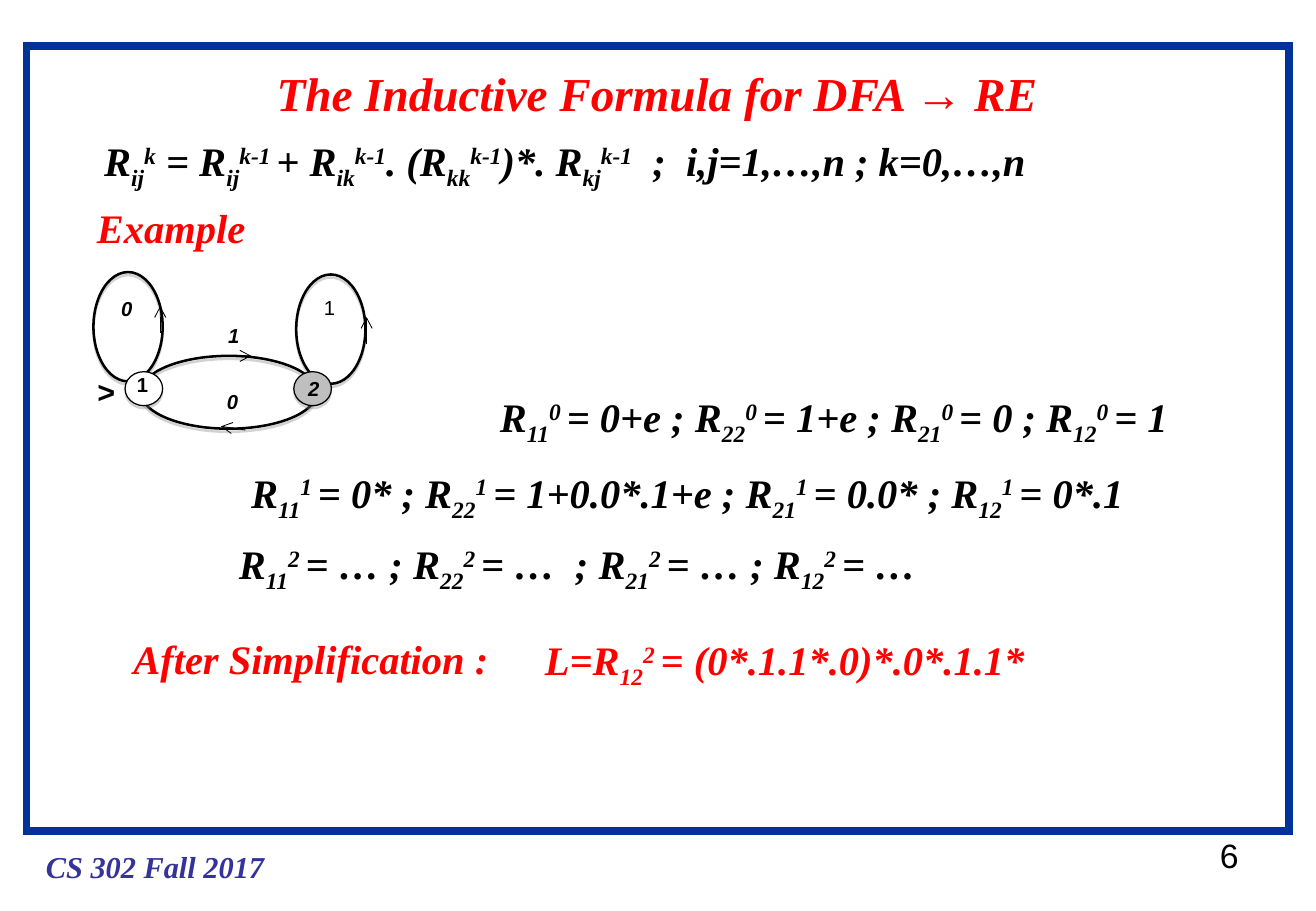
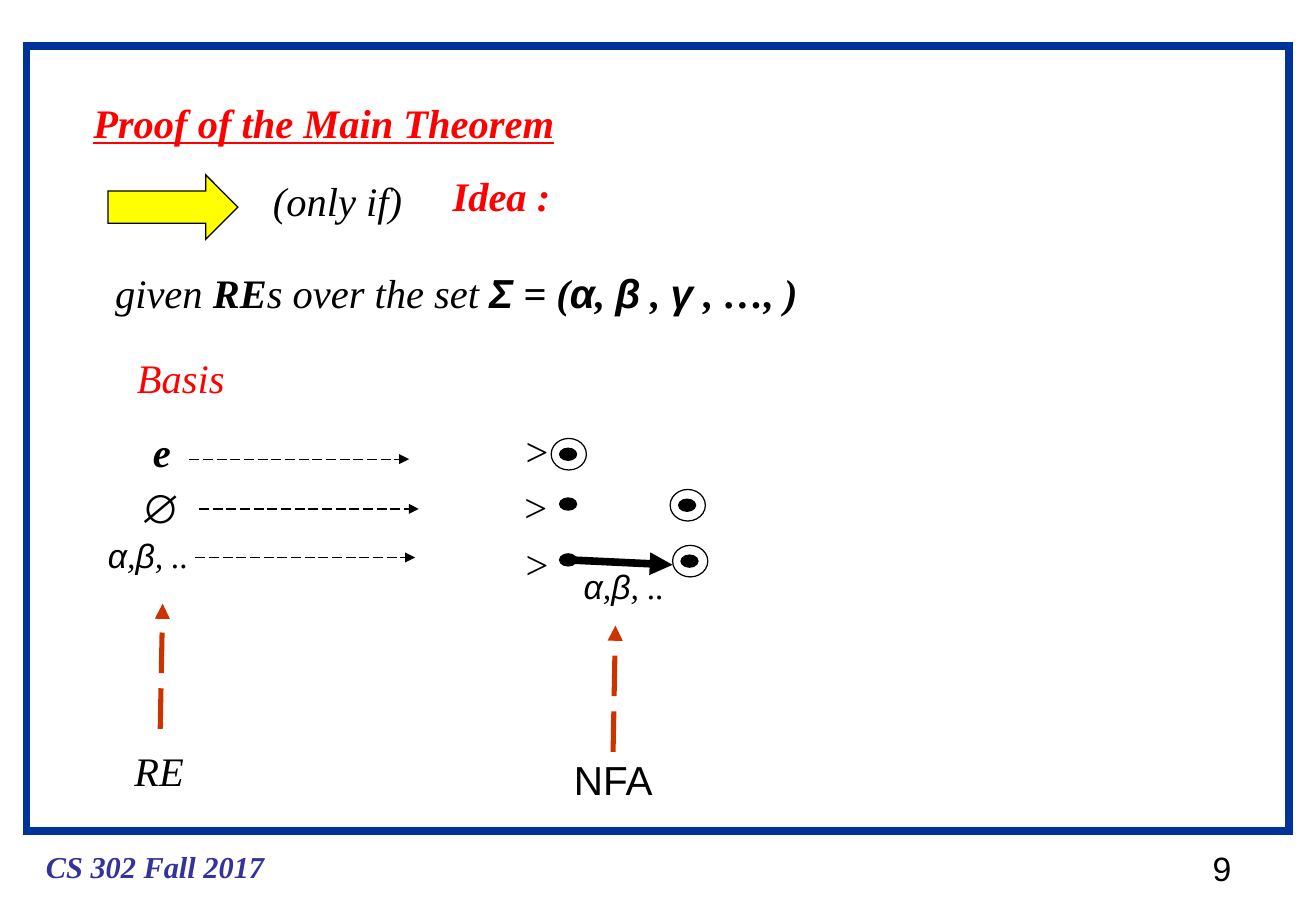
import dataclasses
import itertools

import pptx
import pptx.dml.color
import pptx.enum.dml
import pptx.enum.shapes
import pptx.enum.text
import pptx.oxml.ns
import pptx.util
from lxml import etree

Inches = pptx.util.Inches
Pt = pptx.util.Pt
Preset = pptx.enum.shapes.MSO_SHAPE
qn = pptx.oxml.ns.qn


@dataclasses.dataclass(frozen=True)
class Theme:
    frame: str = "003399"
    footer: str = "333399"
    accent: str = "FF0000"
    ink: str = "000000"
    paper: str = "FFFFFF"
    final_state: str = "BFBFBF"
    shadow: str = "808080"
    implication: str = "FFFF00"
    pointer: str = "CC3300"
    serif: str = "Times New Roman"
    sans: str = "Arial"
    title: int = 28
    body: int = 24
    small: int = 20
    footnote: int = 18
    label: int = 12


THEME = Theme()
SHIFTS = {"_": -25000, "^": 30000}
SANS_SYMBOLS = "→Σαβγ∅"
TEXT_SLACK = 0.1


def rgb(color):
    return pptx.dml.color.RGBColor.from_string(color)


def marked(text, font):
    shift = 0
    for char in text:
        if char in SHIFTS:
            shift = 0 if shift == SHIFTS[char] else SHIFTS[char]
        else:
            yield char, (shift, THEME.sans if char in SANS_SYMBOLS else font)


def write(para, text, size=THEME.body, font=THEME.serif, color=THEME.ink,
          bold=True, italic=True, underline=False):
    for (shift, face), group in itertools.groupby(marked(text, font), lambda item: item[1]):
        span = para.add_run()
        span.text = "".join(char for char, style in group)
        span.font.name = face
        span.font.size = Pt(size)
        span.font.color.rgb = rgb(color)
        span.font.bold = bold
        span.font.italic = italic
        if underline:
            span.font.underline = True
        if shift:
            span._r.get_or_add_rPr().set("baseline", str(shift))


class Lecture:
    def __init__(self, theme):
        self.theme = theme
        self.deck = pptx.Presentation()
        self.deck.slide_width = Inches(10.84)
        self.deck.slide_height = Inches(7.5)
        self.page = None

    def new_page(self, number, left, top):
        self.page = self.deck.slides.add_slide(self.deck.slide_layouts[6])
        self.shape(Preset.RECTANGLE, 0.22, 0.38, 10.4, 6.46, line=self.theme.frame, weight=4.5)
        self.text("CS 302 Fall 2017", 0.28, 6.93, 2, 0.4,
                  size=self.theme.footnote, color=self.theme.footer)
        self.text(number, left, top, 0.35, 0.44, size=self.theme.small,
                  font=self.theme.sans, bold=False, italic=False)

    def text(self, content, left, top, width, height=0.5, **style):
        box = self.page.shapes.add_textbox(Inches(left), Inches(top),
                                           Inches(width + TEXT_SLACK), Inches(height))
        box.text_frame.word_wrap = True
        box.text_frame.auto_size = pptx.enum.text.MSO_AUTO_SIZE.SHAPE_TO_FIT_TEXT
        pieces = [(content, {})] if isinstance(content, str) else content
        for piece, change in pieces:
            write(box.text_frame.paragraphs[0], piece, **{**style, **change})

    def label(self, content, left, top, **style):
        self.text(content, left, top, 0.29, 0.3,
                  **{"size": self.theme.label, "font": self.theme.sans, **style})

    def shape(self, preset, left, top, width, height, fill=None,
              line=THEME.ink, weight=0.75, shadow=False):
        shape = self.page.shapes.add_shape(
            preset, Inches(left), Inches(top), Inches(width), Inches(height))
        if fill:
            shape.fill.solid()
            shape.fill.fore_color.rgb = rgb(fill)
        else:
            shape.fill.background()
        shape.line.color.rgb = rgb(line)
        shape.line.width = Pt(weight)
        properties = shape.element.spPr
        etree.SubElement(properties.find(qn("a:ln")), qn("a:miter"), lim="800000")
        shape.shadow.inherit = False
        if shadow:
            effects = properties.find(qn("a:effectLst"))
            outer = etree.SubElement(effects, qn("a:outerShdw"), blurRad="0",
                                     dist=str(Pt(1.8)), dir="5400000", rotWithShape="0")
            tint = etree.SubElement(outer, qn("a:srgbClr"), val=self.theme.shadow)
            etree.SubElement(tint, qn("a:alpha"), val="35000")

    def arrow(self, start, end, color=THEME.ink, weight=0.75, dashed=False, head="triangle"):
        arrow = self.page.shapes.add_connector(
            pptx.enum.shapes.MSO_CONNECTOR.STRAIGHT,
            *(Inches(value) for value in (*start, *end)))
        arrow.line.color.rgb = rgb(color)
        arrow.line.width = Pt(weight)
        if dashed:
            arrow.line.dash_style = pptx.enum.dml.MSO_LINE.LONG_DASH
        properties = arrow.element.spPr
        etree.SubElement(properties.find(qn("a:ln")), qn("a:tailEnd"), type=head)
        etree.SubElement(properties, qn("a:effectLst"))

    def state(self, left, top):
        self.shape(Preset.OVAL, left, top, 0.14, 0.1, fill=self.theme.ink)

    def accepting_state(self, left, top):
        self.state(left + 0.07, top + 0.08)
        self.shape(Preset.OVAL, left, top, 0.29, 0.26)


def expressions(level, *values):
    return " ; ".join(f"R_{pair}_^{level} ^= {value}"
                      for pair, value in zip((11, 22, 21, 12), values))


def draw_automaton(lecture):
    theme = lecture.theme
    for left, top, width, height in ((1.16, 2.93, 1.45, 0.6),
                                     (0.77, 2.24, 0.57, 0.9),
                                     (2.44, 2.26, 0.57, 0.9)):
        lecture.shape(Preset.OVAL, left, top, width, height, weight=1.5, shadow=True)
    for left, fill in ((2.42, theme.final_state), (1.03, theme.paper)):
        lecture.shape(Preset.OVAL, left, 3.06, 0.31, 0.28, fill=fill, shadow=True)
    lecture.label("1", 1.03, 3.02, italic=False)
    lecture.label("1", 2.57, 2.38, bold=False, italic=False)
    for name, left, top in (("2", 2.44, 3.05), ("1", 1.78, 2.61),
                            ("0", 1.77, 3.16), ("0", 0.9, 2.39)):
        lecture.label(name, left, top)
    for start, end in (((1.88, 2.93), (2.07, 2.93)), ((2.02, 3.54), (1.82, 3.51)),
                       ((3.02, 2.83), (3.02, 2.61)), ((1.32, 2.74), (1.32, 2.52))):
        lecture.arrow(start, end, weight=0.5, head="arrow")
    lecture.text(">", 0.7, 3.02, 0.34, 0.4, size=theme.footnote, font=theme.sans)


def add_formula_page(lecture):
    theme = lecture.theme
    lecture.new_page("6", 9.95, 6.82)
    lecture.text("The Inductive Formula for DFA → RE", 2.18, 0.48, 6.52, 0.57,
                 size=theme.title, color=theme.accent)
    lecture.text("R_ij_^k^ = R_ij_^k-1 ^+ R_ik_^k-1^. (R_kk_^k-1^)*. R_kj_^k-1^"
                 "  ;  i,j=1,…,n ; k=0,…,n", 0.76, 1.07, 9.06, 0.56)
    lecture.text("Example", 0.7, 1.62, 1.42, color=theme.accent)
    draw_automaton(lecture)
    lecture.text(expressions(0, "0+e", "1+e", "0", "1"), 4.02, 3.18, 5.78, 0.56)
    lecture.text(expressions(1, "0*", "1+0.0*.1+e", "0.0*", "0*.1"), 1.97, 3.8, 7.39, 0.56)
    lecture.text(expressions(2, "…", "… ", "…", "…"), 1.87, 4.39, 5.78, 0.56)
    lecture.text("After Simplification :", 1, 5.17, 3.21, color=theme.accent)
    lecture.text("L=R_12_^2 ^= (0*.1.1*.0)*.0*.1.1*", 4.39, 5.18, 4.15, 0.56,
                 color=theme.accent)


def draw_basis(lecture):
    letters = "α,β, .."
    light = {"bold": False}
    small = {"size": lecture.theme.small, "bold": False}
    lecture.text("e", 1.16, 3.47, 0.35)
    lecture.text("∅", 1.06, 3.93, 0.46)
    lecture.text(letters, 0.79, 4.35, 0.87, 0.44, **small)
    lecture.text(letters, 4.71, 4.61, 0.87, 0.44, **small)
    for left, top in ((1.56, 3.78), (1.64, 4.19), (1.61, 4.59)):
        lecture.arrow((left, top), (left + 1.81, top), dashed=True)
    for left, top in ((4.21, 3.46), (4.2, 3.92), (4.21, 4.39)):
        lecture.text(">", left, top, 0.42, **light)
    for top in (4.1, 4.56):
        lecture.state(4.61, top)
    for left, top in ((4.54, 3.61), (5.52, 4.03), (5.54, 4.49)):
        lecture.accepting_state(left, top)
    lecture.arrow((4.69, 4.61), (5.54, 4.65), weight=4.5)


def add_proof_page(lecture):
    theme = lecture.theme
    light = {"bold": False}
    lecture.new_page("9", 9.89, 6.93)
    lecture.text("Proof of the Main Theorem", 0.67, 0.76, 3.99,
                 color=theme.accent, underline=True)
    lecture.shape(Preset.RIGHT_ARROW, 0.89, 1.44, 1.07, 0.53, fill=theme.implication)
    lecture.text("(only if)", 2.15, 1.4, 1.26, **light)
    lecture.text("Idea :", 3.63, 1.36, 1, color=theme.accent)
    lecture.text([("given ", light), ("RE", {}), ("s over the set ", light),
                  ("Σ = (α, β , γ , …, )", {})], 0.85, 2.16, 8.57)
    lecture.text("Basis", 1.03, 2.86, 0.92, color=theme.accent, **light)
    draw_basis(lecture)
    for start, end in (((1.32, 6), (1.34, 4.97)), ((5.05, 6.19), (5.07, 5.15))):
        lecture.arrow(start, end, color=theme.pointer, weight=3, dashed=True)
    lecture.text("RE", 1.01, 6.09, 0.6, **light)
    lecture.text("NFA", 4.63, 6.17, 0.86, font=theme.sans, italic=False, **light)


def main():
    lecture = Lecture(THEME)
    add_formula_page(lecture)
    add_proof_page(lecture)
    lecture.deck.save("out.pptx")


if __name__ == "__main__":
    main()
